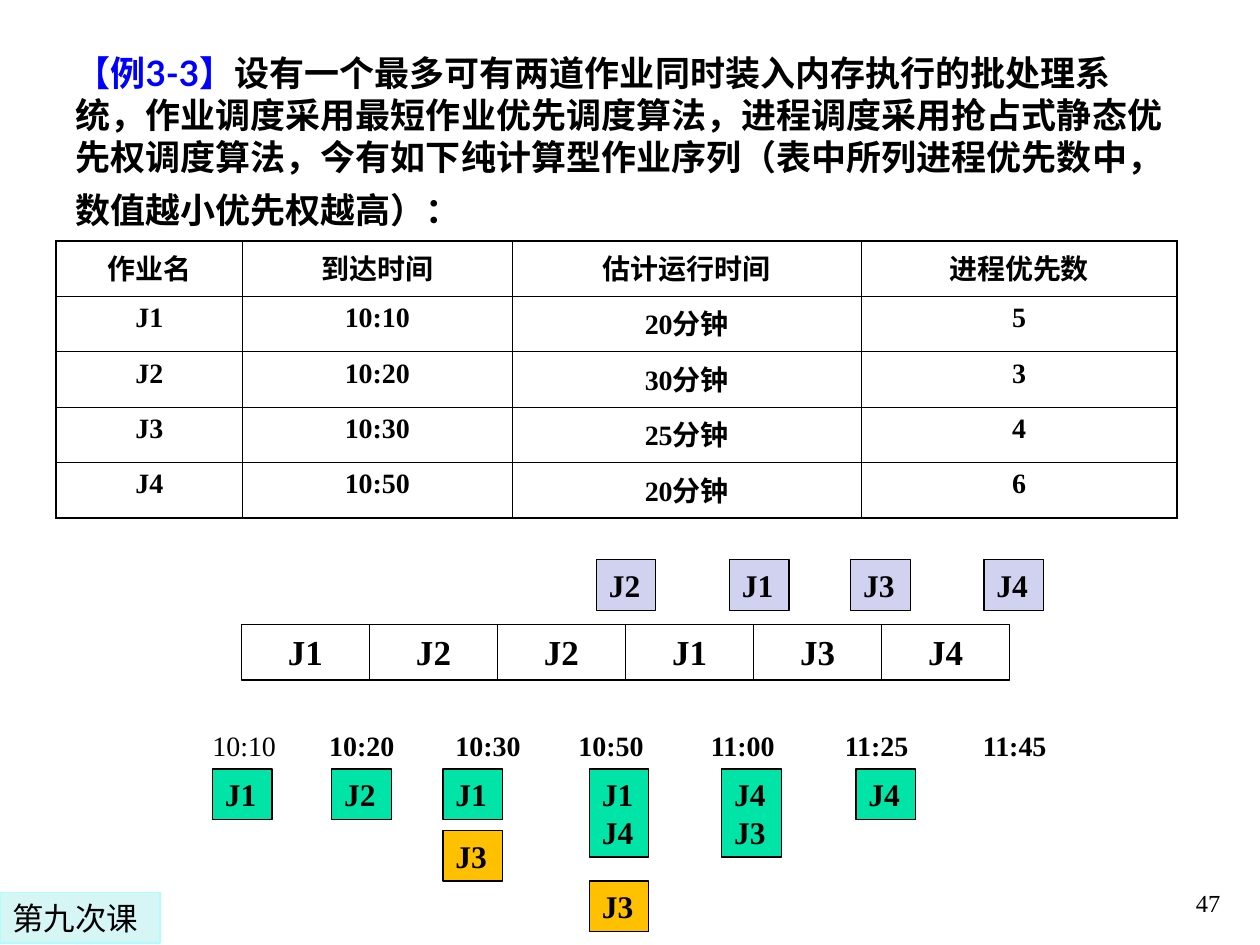
from lxml.etree import SubElement
from pptx import Presentation
from pptx.dml.color import RGBColor
from pptx.enum.shapes import MSO_SHAPE
from pptx.enum.text import MSO_ANCHOR, PP_ALIGN
from pptx.oxml import parse_xml
from pptx.oxml.ns import nsdecls, qn
from pptx.util import Pt

SERIF, CJK, LATIN = "Times New Roman", "Noto Sans CJK SC", "Lato"
BLACK, BLUE, GREEN, ORANGE, LILAC = "000000", "0000FF", "00E4A8", "FFC000", "D1D1F0"

QUESTION = [
    ("【例", dict(color=BLUE)),
    ("3-3", dict(color=BLUE, font=LATIN)),
    ("】", dict(color=BLUE)),
    ("设有一个最多可有两道作业同时装入内存执行的批处理系统，作业调度采用最短作业优先调度算法，"
     "进程调度采用抢占式静态优先权调度算法，今有如下纯计算型作业序列"
     "（表中所列进程优先数中，数值越小优先权越高）：", {}),
    (" ", dict(size=26, font=LATIN)),
]
JOBS = [
    ["作业名", "到达时间", "估计运行时间", "进程优先数"],
    ["J1", "10:10", "20分钟", "5"],
    ["J2", "10:20", "30分钟", "3"],
    ["J3", "10:30", "25分钟", "4"],
    ["J4", "10:50", "20分钟", "6"],
]
COLUMN_WIDTHS = [106.6, 154.1, 199.4, 180.7]
ROW_HEIGHT = 31.7

RUNNING = ["J1", "J2", "J2", "J1", "J3", "J4"]
TIMES = [("10:10", 114.3), ("10:20", 181), ("10:30", 253.2), ("10:50", 323.5),
         ("11:00", 399.2), ("11:25", 475.7), ("11:45", 554.6)]
# (jobs, left, top)
FINISHED = [("J2", 340.8, 319.7), ("J1", 416.9, 319.7),
            ("J3", 486.2, 319.7), ("J4", 562.3, 319.7)]
IN_MEMORY = [("J1", 121.4, 439.4), ("J2", 189.6, 439.4), ("J1", 253.1, 439.4),
             ("J1\nJ4", 336.8, 439.4), ("J4\nJ3", 412.4, 439.4), ("J4", 489.1, 439.4)]
WAITING = [("J3", 253.1, 474.5), ("J3", 336.8, 503.5)]


def rgb(code):
    return RGBColor.from_string(code)


def add_run(p, text, size=16, font=SERIF, color=BLACK, bold=True):
    r = p.add_run()
    r.text = text
    r.font.size, r.font.name, r.font.bold = Pt(size), font, bold
    r.font.color.rgb = rgb(color)
    SubElement(r.font._element, qn("a:ea")).set("typeface", CJK)


def write(tf, text, align=PP_ALIGN.LEFT, anchor=MSO_ANCHOR.TOP, **style):
    tf.word_wrap = True
    tf.vertical_anchor = anchor
    for i, line in enumerate(text.split("\n")):
        p = tf.paragraphs[0] if i == 0 else tf.add_paragraph()
        p.alignment = align
        add_run(p, line, **style)


def add_label(slide, text, x, y, w, h, **style):
    sp = slide.shapes.add_textbox(Pt(x), Pt(y), Pt(w), Pt(h))
    write(sp.text_frame, text, **style)


def add_box(slide, text, x, y, w, h, fill=None, line=BLACK, **style):
    sp = slide.shapes.add_shape(MSO_SHAPE.RECTANGLE, Pt(x), Pt(y), Pt(w), Pt(h))
    sp.shadow.inherit = False
    if fill:
        sp.fill.solid()
        sp.fill.fore_color.rgb = rgb(fill)
    else:
        sp.fill.background()
    sp.line.color.rgb = rgb(line)
    sp.line.width = Pt(0.75)
    write(sp.text_frame, text, **style)


def set_borders(cell, left, right, top, bottom):
    """Draw each side thick where its flag is true, thin elsewhere."""
    tcPr = cell._tc.get_or_add_tcPr()
    sides = zip("LRTB", (left, right, top, bottom))
    for i, (side, outer) in enumerate(sides):
        width = Pt(1.08 if outer else 0.45)
        tcPr.insert(i, parse_xml(
            f'<a:ln{side} {nsdecls("a")} w="{width}"><a:solidFill>'
            f'<a:srgbClr val="{BLACK}"/></a:solidFill></a:ln{side}>'))


def add_job_table(slide):
    rows, cols = len(JOBS), len(COLUMN_WIDTHS)
    table = slide.shapes.add_table(rows, cols, Pt(32), Pt(137.6), Pt(sum(COLUMN_WIDTHS)),
                                   Pt(rows * ROW_HEIGHT)).table
    table.first_row = table.horz_banding = False
    for column, width in zip(table.columns, COLUMN_WIDTHS):
        column.width = Pt(width)
    for i, job in enumerate(JOBS):
        table.rows[i].height = Pt(ROW_HEIGHT)
        for j, text in enumerate(job):
            cell = table.cell(i, j)
            cell.fill.background()
            set_borders(cell, j == 0, j == cols - 1, i == 0, i == rows - 1)
            write(cell.text_frame, text, align=PP_ALIGN.CENTER)


def add_question(slide):
    tf = slide.shapes.add_textbox(Pt(36), Pt(25.9), Pt(641.5), Pt(110.9)).text_frame
    tf.word_wrap = True
    p = tf.paragraphs[0]
    p._p.get_or_add_pPr().set("hangingPunct", "0")
    for text, style in QUESTION:
        add_run(p, text, **{"size": 20, "font": CJK, **style})


def add_schedule(slide):
    slot = 73.15
    for i, job in enumerate(RUNNING):
        add_box(slide, job, 138 + i * slot, 356.9, slot, 31.7,
                size=20, align=PP_ALIGN.CENTER)
    for i, (time, x) in enumerate(TIMES):
        add_label(slide, time, x, 412.6, 60.5, 26.6, bold=i > 0)
    for group, fill in ((FINISHED, LILAC), (IN_MEMORY, GREEN), (WAITING, ORANGE)):
        for jobs, x, y in group:
            height = 50.4 if "\n" in jobs else 29
            add_box(slide, jobs, x, y, 34, height, fill=fill, size=18)


def main():
    prs = Presentation()
    prs.slide_width, prs.slide_height = Pt(720), Pt(540)
    s = prs.slides.add_slide(prs.slide_layouts[6])
    add_label(s, "47", 554.6, 491.8, 149.8, 36, size=14, bold=False,
              align=PP_ALIGN.RIGHT, anchor=MSO_ANCHOR.BOTTOM)
    add_question(s)
    add_job_table(s)
    add_box(s, "第九次课", 0, 509.8, 91.5, 29, fill="D6F5F5", line="ADFFFF",
            size=18, font="DejaVu Sans", bold=False, anchor=MSO_ANCHOR.MIDDLE)
    add_schedule(s)
    prs.save("out.pptx")


if __name__ == "__main__":
    main()
